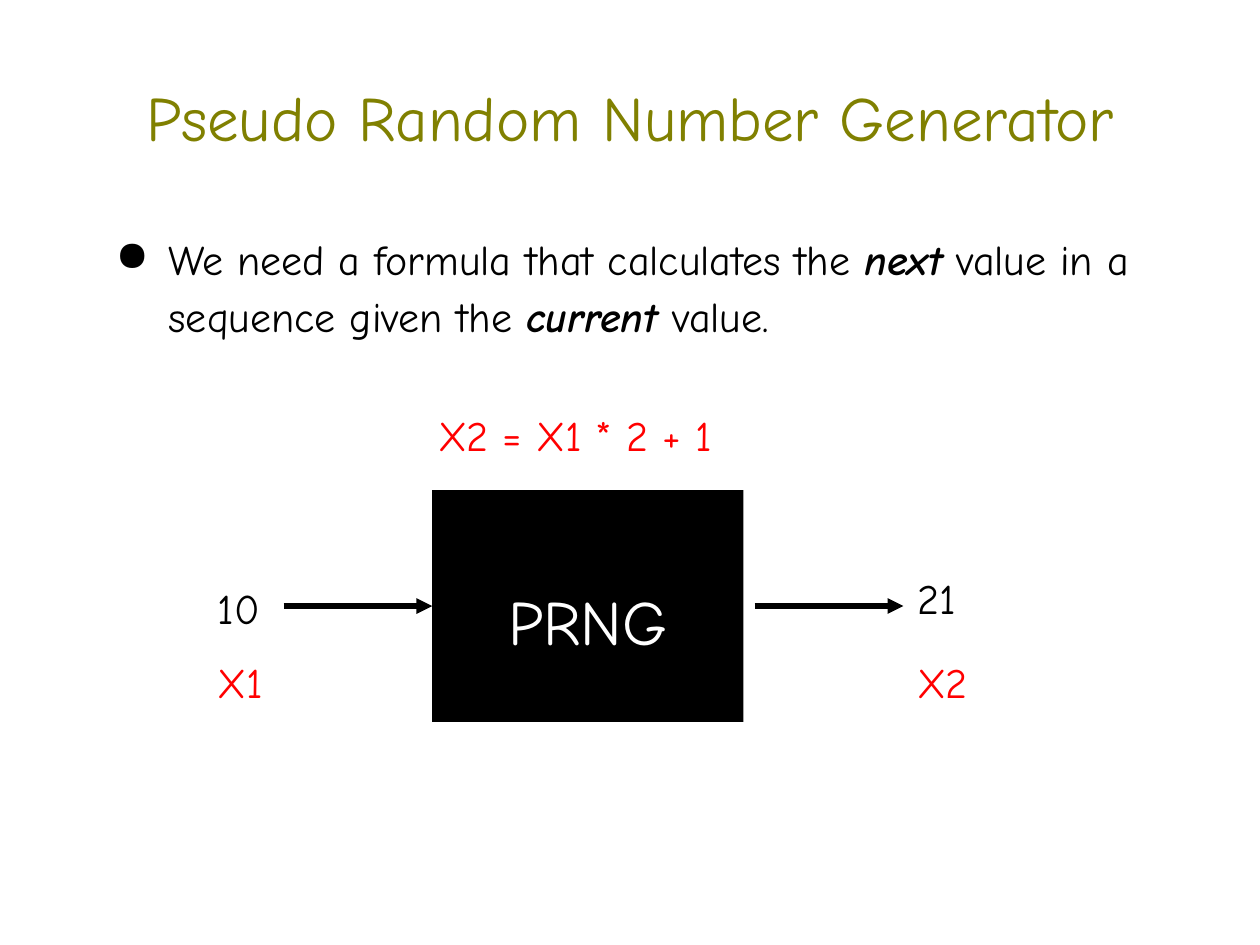
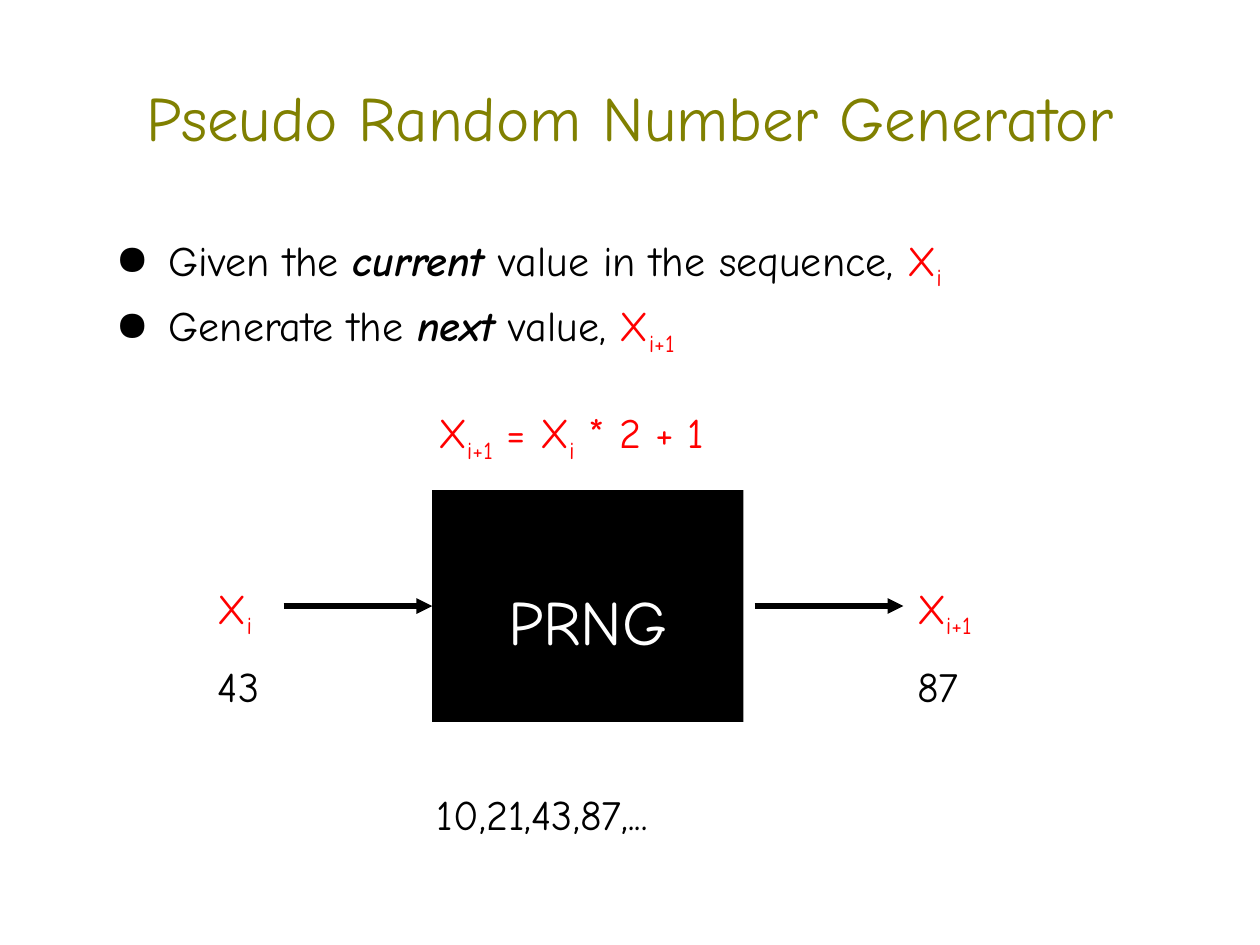
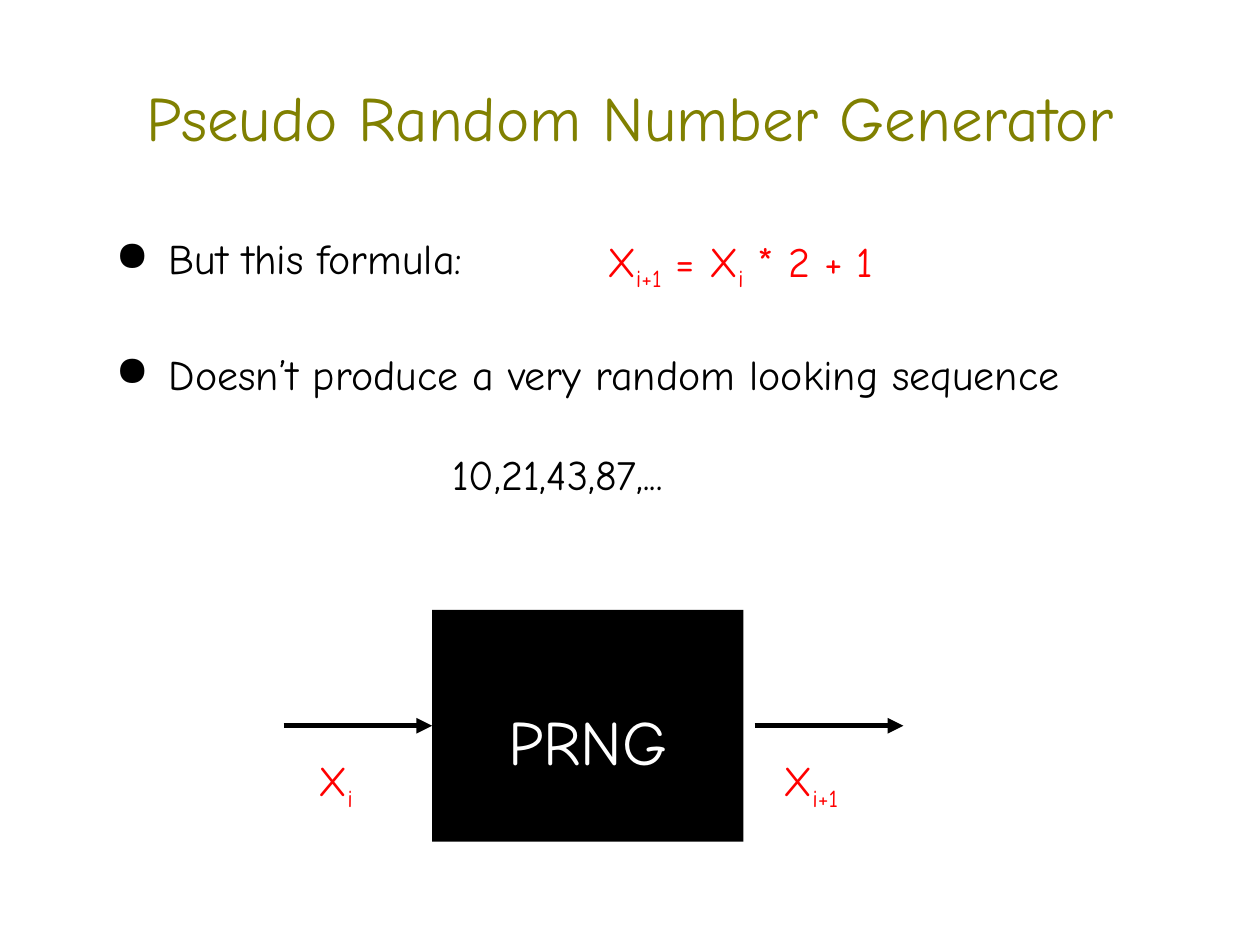
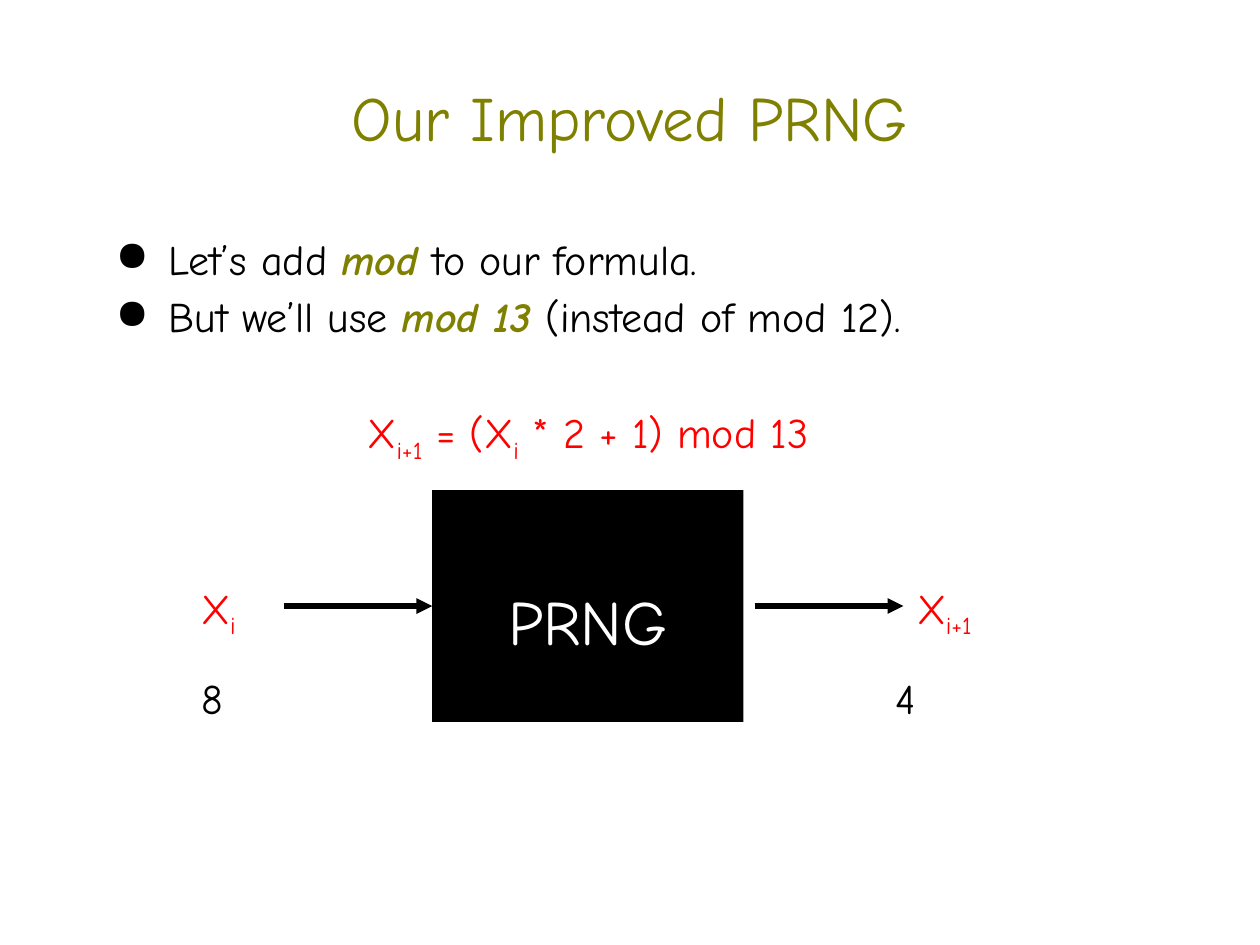
from pptx import Presentation
from pptx.dml.color import RGBColor
from pptx.enum.shapes import MSO_CONNECTOR as Line, MSO_SHAPE as Shape
from pptx.enum.text import MSO_ANCHOR as Anchor, PP_ALIGN as Align
from pptx.oxml.ns import qn
from pptx.util import Inches, Pt
from lxml.etree import SubElement

FONT = "Comic Neue"
BLACK, WHITE, OLIVE, RED = "000000", "FFFFFF", "808000", "FF0000"
TITLE_SIZE, TEXT_SIZE = 36, 24
LINE_SPACING = 1.15

# Run styles
STRONG = dict(bold=True)
MOD = dict(bold=True, color=OLIVE)
VAR = dict(color=RED)
SUB = dict(color=RED, sub=True)

# Text is a list of runs: a plain string, or a (string, style) pair
X_NOW = [("X", VAR), ("i", SUB)]
X_NEXT = [("X", VAR), ("i+1", SUB)]
FORMULA = X_NEXT + [(" = X", VAR), ("i", SUB), (" * 2 + 1", VAR)]
MOD_FORMULA = X_NEXT + [(" = (X", VAR), ("i", SUB), (" * 2 + 1) mod 13", VAR)]
SEQUENCE = ["10,21,43,87,..."]

# Columns and rows that the slides share, in inches
LEFT_COL, RIGHT_COL = 1.63, 7.18
VALUE_ROW = 4.52
BOX_LEFT, BOX_TOP, BOX_W, BOX_H = 3.43, 3.89, 2.47, 1.84
ARROW_STARTS, ARROW_LENGTH = (2.25, 5.99), 1.18
LABEL_W, LABEL_H = 0.82, 0.59
FORMULA_AT, FORMULA_W, FORMULA_H = (2.88, 3.02), 3.43, 0.8

PRNG_TITLE = "Pseudo Random Number Generator"
# formula: (left, top, runs); labels: (left, top, runs)
SLIDES = [
    dict(title=PRNG_TITLE,
         bullets=[["We need a formula that calculates the ", ("next", STRONG),
                   " value in a sequence given the ", ("current ", STRONG), "value."]],
         formula=(*FORMULA_AT, [("X2 = X1 * 2 + 1", VAR)]),
         labels=[(LEFT_COL, VALUE_ROW, ["10"]), (RIGHT_COL, 4.44, ["21"]),
                 (LEFT_COL, 5.11, [("X1", VAR)]), (RIGHT_COL, 5.11, [("X2", VAR)])]),
    dict(title=PRNG_TITLE,
         bullets=[["Given the ", ("current ", STRONG), "value in the sequence, ", *X_NOW],
                  ["Generate the ", ("next", STRONG), " value, ", *X_NEXT]],
         formula=(*FORMULA_AT, FORMULA),
         labels=[(LEFT_COL, 5.14, ["43"]), (RIGHT_COL, 5.14, ["87"]),
                 (LEFT_COL, VALUE_ROW, X_NOW), (RIGHT_COL, VALUE_ROW, X_NEXT)],
         sequence=(3.37, 6.16)),
    dict(title=PRNG_TITLE,
         bullets=[["But this formula:"],
                  ["Doesn’t produce a very random looking sequence"]],
         bullet_gap=33, body_h=1.84, box_top=4.84,
         formula=(4.22, 1.66, FORMULA),
         labels=[(2.43, 5.89, X_NOW), (6.12, 5.89, X_NEXT)],
         sequence=(3.49, 3.46)),
    dict(title="Our Improved PRNG",
         bullets=[["Let’s add ", ("mod", MOD), " to our formula."],
                  ["But we’ll use ", ("mod 13", MOD), " (instead of mod 12)."]],
         formula=(2.32, 3.02, MOD_FORMULA), formula_w=4.95,
         labels=[(1.5, VALUE_ROW, X_NOW), (RIGHT_COL, VALUE_ROW, X_NEXT),
                 (1.5, 5.24, ["8"]), (7.01, 5.24, ["4"])]),
]


def rgb(value):
    return RGBColor.from_string(value)


def add_run(p, text, size, color=BLACK, bold=False, sub=False):
    r = p.add_run()
    r.text = text
    font = r.font
    font.name, font.size, font.color.rgb = FONT, Pt(size), rgb(color)
    font.bold = font.italic = bold
    if sub:
        r._r.get_or_add_rPr().set("baseline", "-25000")


def write(tf, paragraphs, size=TEXT_SIZE, color=BLACK, align=Align.LEFT, anchor=Anchor.TOP,
          inset=0.1, top_inset=None, spacing=None, gap=0, indent=0, bullet=None):
    """Fill a text frame with paragraphs, each a list of runs."""
    tf.word_wrap = True
    tf.vertical_anchor = anchor
    tf.margin_left = tf.margin_right = Inches(0.1)
    tf.margin_bottom = Inches(inset)
    tf.margin_top = Inches(top_inset or inset)
    for n, runs in enumerate(paragraphs):
        p = tf.add_paragraph() if n else tf.paragraphs[0]
        p.alignment = align
        if spacing:
            p.line_spacing = spacing
        if n and gap:
            p.space_before = Pt(gap)
        pPr = p._p.get_or_add_pPr()
        pPr.set("marL", str(Inches(indent)))
        if bullet:
            pPr.set("indent", str(Inches(-0.42)))
            SubElement(pPr, qn("a:buChar"), char=bullet)
        for run in runs:
            text, style = (run, {}) if isinstance(run, str) else run
            add_run(p, text, size, **{"color": color, **style})


def add_text(s, left, top, width, height, paragraphs, **fmt):
    tb = s.shapes.add_textbox(*map(Inches, (left, top, width, height)))
    write(tb.text_frame, paragraphs, **fmt)


def add_arrow(s, left, y, length):
    line = s.shapes.add_connector(Line.STRAIGHT, *map(Inches, (left, y, left + length, y)))
    line.line.color.rgb, line.line.width = rgb(BLACK), Pt(3)
    SubElement(line.line._get_or_add_ln(), qn("a:tailEnd"), type="triangle")
    SubElement(line._element.spPr, qn("a:effectLst"))


def add_generator(s, top):
    """Draw the black box with the arrows into and out of it."""
    box = s.shapes.add_shape(Shape.RECTANGLE, *map(Inches, (BOX_LEFT, top, BOX_W, BOX_H)))
    box.shadow.inherit = False
    box.fill.solid()
    box.fill.fore_color.rgb = rgb(BLACK)
    box.line.fill.background()
    write(box.text_frame, [["PRNG"]], size=TITLE_SIZE, color=WHITE, align=Align.CENTER,
          anchor=Anchor.MIDDLE, top_inset=0.33)
    for start in ARROW_STARTS:
        add_arrow(s, start, top + BOX_H / 2, ARROW_LENGTH)


def add_slide(prs, title, bullets, formula, labels, sequence=None, bullet_gap=0,
              body_h=1.21, box_top=BOX_TOP, formula_w=FORMULA_W):
    s = prs.slides.add_slide(prs.slide_layouts[6])
    add_text(s, 0.75, 0.42, 8.5, 1, [[title]], size=TITLE_SIZE, color=OLIVE,
             align=Align.CENTER, anchor=Anchor.MIDDLE, inset=0.05)
    add_text(s, 0.74, 1.74, 8.48, body_h, bullets, inset=0.05, spacing=LINE_SPACING,
             gap=bullet_gap, indent=0.5, bullet="●")
    add_generator(s, box_top)
    left, top, runs = formula
    add_text(s, left, top, formula_w, FORMULA_H, [runs], anchor=Anchor.MIDDLE,
             spacing=LINE_SPACING, indent=0.5)
    for left, top, runs in labels:
        add_text(s, left, top, LABEL_W, LABEL_H, [runs])
    if sequence:
        add_text(s, *sequence, 3.37, LABEL_H, [SEQUENCE])


def main():
    prs = Presentation()
    prs.slide_width, prs.slide_height = Inches(10), Inches(7.5)
    for content in SLIDES:
        add_slide(prs, **content)
    prs.save("out.pptx")


if __name__ == "__main__":
    main()
